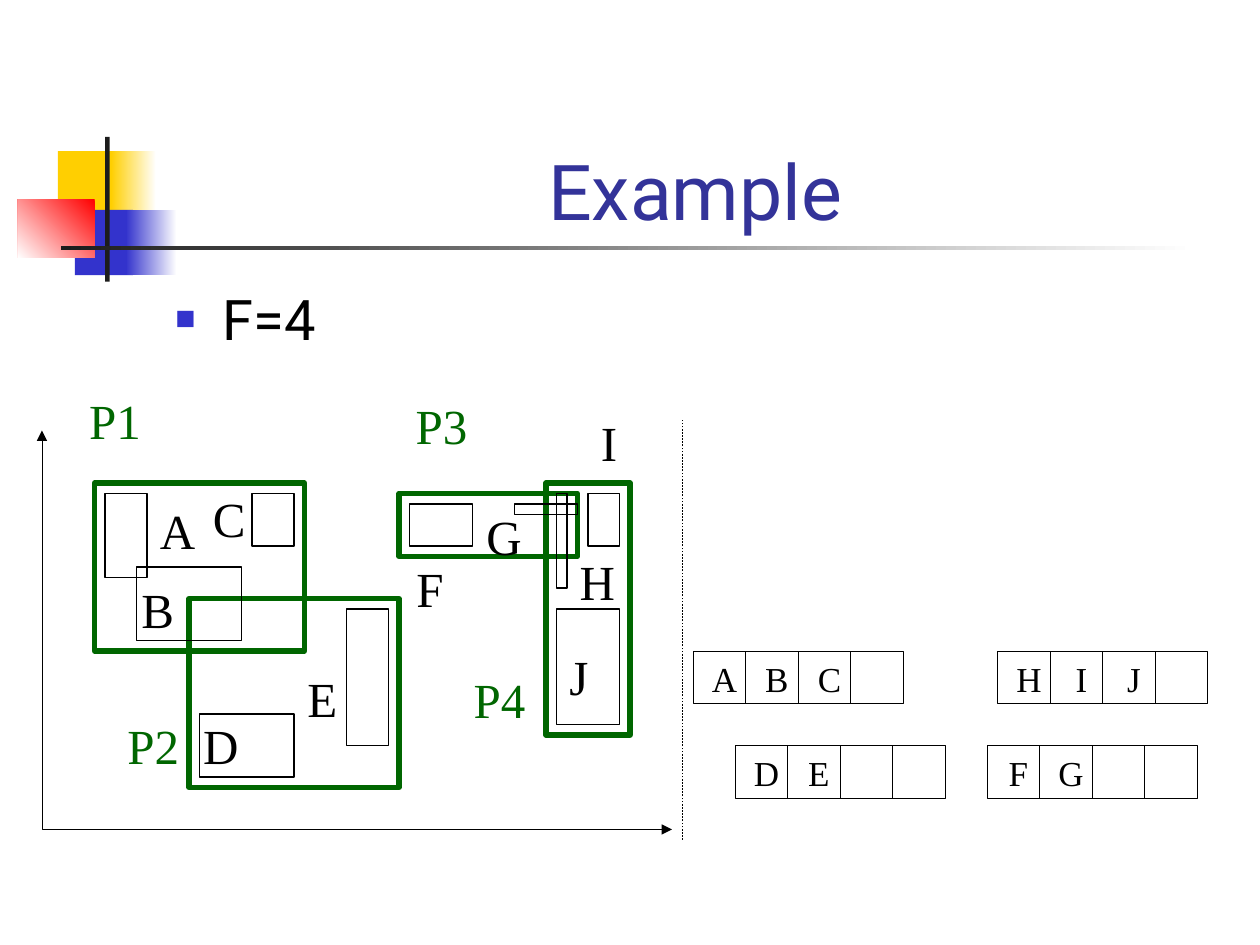
from lxml import etree
from pptx import Presentation
from pptx import util as u
from pptx.dml.color import RGBColor
from pptx.enum import dml, shapes, text
from pptx.oxml.ns import qn

WHITE = RGBColor(0xFF, 0xFF, 0xFF)
BLACK = RGBColor(0x00, 0x00, 0x00)
CHARCOAL = RGBColor(0x1C, 0x1C, 0x1C)
YELLOW = RGBColor(0xFF, 0xCF, 0x01)
BLUE = RGBColor(0x33, 0x33, 0xCC)
RED = RGBColor(0xFF, 0x00, 0x00)
NAVY = RGBColor(0x33, 0x33, 0x99)
GREEN = RGBColor(0x00, 0x66, 0x00)

SANS = "Roboto"
SERIF = "Times New Roman"
UNIT = u.Cm(2.54) // 12
CELL = 5
FANOUT = 4

BLOCKS = [
    ((1.17, 3.05, 1.22, 1.32), (YELLOW,), None),
    ((2.24, 3.05, 0.91, 1.32), (WHITE, YELLOW), 180),
    ((1.51, 4.23, 1.17, 1.32), (BLUE,), None),
    ((2.54, 4.23, 1.02, 1.32), (WHITE, BLUE), 180),
    ((0.36, 4.02, 1.55, 1.18), (RED, WHITE), 225),
    ((2.12, 2.76, 0.09, 2.92), (CHARCOAL,), None),
    ((1.23, 4.95, 22.86, 0.09), (WHITE, CHARCOAL), 180),
]
BOUNDS = [(9, 46, 20, 16), (52, 46, 8, 24), (18, 57, 20, 18), (38, 47, 17, 6)]
ENTRIES = [
    (10, 47, 4, 8), (24, 47, 4, 5), (13, 54, 10, 7), (19, 68, 9, 6),
    (33, 58, 4, 13), (39, 48, 6, 4), (53, 58, 6, 11), (56, 47, 3, 5),
    (49, 48, 6, 1), (53, 47, 1, 9),
]
ENTRY_LABELS = {
    "A": (3.58, 10.68), "B": (3.18, 12.28), "C": (4.62, 10.45),
    "D": (4.45, 15.02), "E": (6.5, 14.06), "F": (8.67, 11.85),
    "G": (10.16, 10.81), "H": (12.04, 11.72), "I": (12.28, 8.9),
    "J": (11.67, 13.63),
}
BOUND_LABELS = {
    "P1": (2.32, 8.47), "P2": (3.09, 15.02),
    "P3": (8.9, 8.57), "P4": (10.07, 14.08),
}
LEAVES = [("FG", 94, 71), ("DE", 70, 71), ("HIJ", 95, 62), ("ABC", 66, 62)]


def write_text(para, words, *, font=SERIF, size=28, color=BLACK,
               align=text.PP_ALIGN.CENTER):
    para.alignment = align
    para.space_before = u.Pt(0)
    span = para.add_run()
    span.text = words
    span.font.name = font
    span.font.size = u.Pt(size)
    span.font.color.rgb = color


def add_bullet(para, char, color, percent):
    props = para._p.get_or_add_pPr()
    props.set("marL", str(u.Cm(0.95)))
    props.set("indent", str(-u.Cm(0.95)))
    tint = etree.SubElement(props, qn("a:buClr"))
    etree.SubElement(tint, qn("a:srgbClr"), val=str(color))
    etree.SubElement(props, qn("a:buSzPct"), val=str(percent * 1000))
    etree.SubElement(props, qn("a:buChar"), char=char)


class Sketch:
    def __init__(self, page):
        self.page = page

    def place(self, box, left, top, width, height):
        box.left, box.top = u.Cm(left), u.Cm(top)
        box.width, box.height = u.Cm(width), u.Cm(height)

    def title(self, words):
        box = self.page.shapes.title
        self.place(box, 3.2, 1.7, 21.64, 3.18)
        box.text_frame.vertical_anchor = text.MSO_ANCHOR.BOTTOM
        write_text(box.text_frame.paragraphs[0], words,
                   font=SANS, size=44, color=NAVY)

    def body(self, words):
        box = self.page.placeholders[1]
        self.place(box, 3.28, 5.61, 21.59, 11.43)
        para = box.text_frame.paragraphs[0]
        add_bullet(para, "■", BLUE, 60)
        write_text(para, words, font=SANS, size=32, align=text.PP_ALIGN.LEFT)

    def block(self, area, colors, angle):
        box = self.page.shapes.add_shape(
            shapes.MSO_SHAPE.RECTANGLE, *map(u.Cm, area))
        box.shadow.inherit = False
        box.line.fill.background()
        if angle is None:
            box.fill.solid()
            box.fill.fore_color.rgb = colors[0]
            return
        box.fill.gradient()
        box.fill.gradient_angle = angle
        for stop, color in zip(box.fill.gradient_stops, colors):
            stop.color.rgb = color

    def stroke(self, item, color, width):
        item.line.color.rgb = color
        item.line.width = u.Pt(width)

    def outline(self, area, color=BLACK, width=0.75, parent=None):
        box = (parent or self.page).shapes.add_shape(
            shapes.MSO_SHAPE.RECTANGLE, *(UNIT * step for step in area))
        box.shadow.inherit = False
        box.fill.background()
        self.stroke(box, color, width)

    def label(self, words, x, y, size=28, width=1.25, color=BLACK, parent=None):
        wide, high = u.Cm(width), u.Cm(0.3 + 0.04 * size)
        box = (parent or self.page).shapes.add_textbox(
            x - wide // 2, y - high // 2, wide, high)
        frame = box.text_frame
        frame.word_wrap = False
        frame.auto_size = text.MSO_AUTO_SIZE.SHAPE_TO_FIT_TEXT
        frame.vertical_anchor = text.MSO_ANCHOR.MIDDLE
        write_text(frame.paragraphs[0], words, size=size, color=color)

    def leaf(self, letters, left, top):
        group = self.page.shapes.add_group_shape()
        for slot in range(FANOUT):
            self.outline((left + slot * CELL, top, CELL, CELL),
                         width=0.25, parent=group)
        for slot, letter in enumerate(letters):
            self.label(letter, UNIT * (left + slot * CELL + 3),
                       UNIT * top + u.Cm(0.55), size=20, width=1.05,
                       parent=group)

    def axes(self, start, *corners):
        builder = self.page.shapes.build_freeform(*start, scale=UNIT)
        builder.add_line_segments(corners, close=False)
        axis = builder.convert_to_shape()
        axis.shadow.inherit = False
        axis.fill.background()
        self.stroke(axis, BLACK, 0.25)
        for end in ("a:headEnd", "a:tailEnd"):
            etree.SubElement(axis.line._get_or_add_ln(), qn(end), type="triangle")

    def divider(self, x, bottom, top):
        line = self.page.shapes.add_connector(
            shapes.MSO_CONNECTOR.STRAIGHT,
            UNIT * x, UNIT * bottom, UNIT * x, UNIT * top)
        self.stroke(line, BLACK, 0.25)
        line.line.dash_style = dml.MSO_LINE.DASH
        etree.SubElement(line._element.spPr, qn("a:effectLst"))


def main():
    deck = Presentation()
    deck.slide_width, deck.slide_height = u.Cm(25.4), u.Cm(19.05)
    sketch = Sketch(deck.slides.add_slide(deck.slide_layouts[1]))
    for block in BLOCKS:
        sketch.block(*block)
    sketch.title("Example")
    sketch.body("F=4")
    for area in BOUNDS:
        sketch.outline(area, GREEN, 3)
    for area in ENTRIES:
        sketch.outline(area)
    sketch.axes((4, 41), (4, 79), (64, 79))
    for words, (x, y) in ENTRY_LABELS.items():
        sketch.label(words, u.Cm(x), u.Cm(y))
    for words, (x, y) in BOUND_LABELS.items():
        sketch.label(words, u.Cm(x), u.Cm(y), width=1.65, color=GREEN)
    for leaf in LEAVES:
        sketch.leaf(*leaf)
    sketch.divider(65, 80, 40)
    deck.save("out.pptx")


if __name__ == "__main__":
    main()
